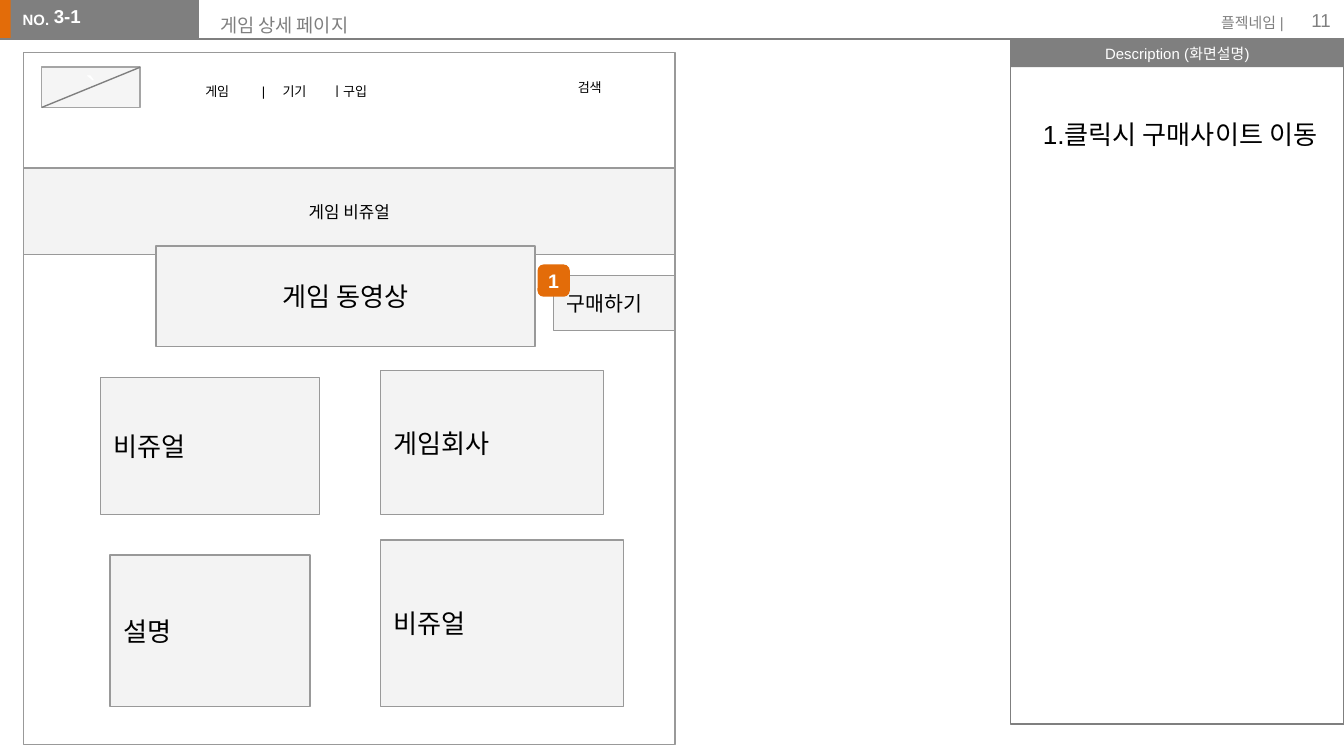
from typing import NamedTuple

from lxml import etree
from pptx import Presentation
from pptx.dml.color import RGBColor
from pptx.enum.shapes import MSO_CONNECTOR, MSO_SHAPE
from pptx.enum.text import MSO_ANCHOR, PP_ALIGN
from pptx.oxml.ns import qn
from pptx.util import Cm, Pt

RECT, ROUNDED = MSO_SHAPE.RECTANGLE, MSO_SHAPE.ROUNDED_RECTANGLE
STRAIGHT = MSO_CONNECTOR.STRAIGHT
LEFT, CENTER, RIGHT = PP_ALIGN.LEFT, PP_ALIGN.CENTER, PP_ALIGN.RIGHT
TOP, MIDDLE = MSO_ANCHOR.TOP, MSO_ANCHOR.MIDDLE
FONT = "Arial"
COLORS = {
    "accent": "E36C09",
    "gray": "7F7F7F",
    "edge": "999999",
    "block": "F3F3F3",
    "logo": "F2F2F2",
    "logo_edge": "A5A5A5",
    "white": "FFFFFF",
    "black": "000000",
}


class Box(NamedTuple):
    """A rectangle measured in centimetres."""

    left: float
    top: float
    width: float
    height: float

    def inner(self, left, top, width, height):
        """Return a box placed relative to this one."""
        return Box(self.left + left, self.top + top, width, height)

    def lengths(self):
        """Return position and size as slide lengths."""
        return [Cm(value) for value in self]


def rgb(name):
    """Look up a named colour."""
    return RGBColor.from_string(COLORS[name])


def write(shape, text, size, color="black", align=LEFT, anchor=MIDDLE,
          bold=False, inset=(0.25, 0.13), tabs=()):
    """Put one formatted paragraph into a shape."""
    frame = shape.text_frame
    frame.word_wrap = True
    frame.vertical_anchor = anchor
    frame.margin_left = frame.margin_right = Cm(inset[0])
    frame.margin_top = frame.margin_bottom = Cm(inset[1])
    paragraph = frame.paragraphs[0]
    paragraph.alignment = align
    if tabs:
        tab_list = etree.SubElement(paragraph._p.get_or_add_pPr(), qn("a:tabLst"))
        for position in tabs:
            etree.SubElement(tab_list, qn("a:tab"), pos=str(Cm(position)), algn="l")
    run = paragraph.add_run()
    run.text = text
    run.font.name = FONT
    run.font.size = Pt(size)
    run.font.bold = bold
    run.font.color.rgb = rgb(color)


def add_label(slide, box, text, size, **style):
    """Add a text box."""
    write(slide.shapes.add_textbox(*box.lengths()), text, size, **style)


def add_panel(slide, box, fill=None, edge=None, kind=RECT):
    """Add a flat shape with optional fill and outline."""
    panel = slide.shapes.add_shape(kind, *box.lengths())
    panel.shadow.inherit = False
    if fill:
        panel.fill.solid()
        panel.fill.fore_color.rgb = rgb(fill)
    else:
        panel.fill.background()
    if edge:
        panel.line.color.rgb = rgb(edge)
        panel.line.width = Pt(0.75)
    else:
        panel.line.fill.background()
    return panel


def add_rule(slide, start, end):
    """Draw a thin gray line between two points."""
    rule = slide.shapes.add_connector(STRAIGHT, *(Cm(value) for value in start + end))
    rule.line.color.rgb = rgb("gray")
    rule.line.width = Pt(0.75)
    etree.SubElement(rule._element.spPr, qn("a:effectLst"))


def add_header(slide, box):
    """Build the top bar with screen number, title and page number."""
    add_panel(slide, box.inner(0, 0, 0.28, box.height), "accent")
    add_panel(slide, box.inner(0.2, 0, 3.56, box.height), "gray")
    add_label(slide, box.inner(0.18, 0.08, 1.04, 0.61), "NO.", 8,
              color="white", bold=True, anchor=TOP)
    bottom = box.top + box.height
    add_rule(slide, (box.left, bottom), (box.left + 19.46, bottom))
    add_label(slide, box.inner(22.68, 0.13, 1.83, 0.61), "플젝네임 |", 8,
              color="gray", align=RIGHT, anchor=TOP)
    add_label(slide, box.inner(23.88, 0, 1.52, 0.76), "11", 10,
              color="gray", align=RIGHT)
    add_label(slide, box.inner(3.91, 0.05, 14.25, 0.81), "게임 상세 페이지", 10,
              color="gray", anchor=TOP, inset=(0.25, 0.25))
    add_label(slide, box.inner(1.02, 0.1, 1.8, 0.5), "3-1", 10,
              color="white", bold=True, anchor=TOP, inset=(0, 0))


def add_logo_slot(slide, box):
    """Build the crossed-out logo area."""
    slot = add_panel(slide, box, "logo", "logo_edge")
    fill_color = slot._element.spPr.find(qn("a:solidFill"))[0]
    etree.SubElement(fill_color, qn("a:alpha"), val="70000")
    write(slot, "`", 18, color="white", align=CENTER)
    add_rule(slide, (box.left + box.width, box.top), (box.left, box.top + box.height))


def add_wireframe(slide, box):
    """Build the page layout sketch."""
    add_panel(slide, box, edge="edge")
    add_logo_slot(slide, box.inner(0.35, 0.28, 1.86, 0.76))
    add_label(slide, box.inner(3.19, 0.46, 4.6, 0.64), "게임\t|\t기기\tㅣ구입", 7,
              anchor=TOP, tabs=(1.07, 1.46, 2.38))
    add_label(slide, box.inner(10.23, 0.38, 1.4, 0.56), "검색", 7, anchor=TOP)
    blocks = [
        ("게임 비쥬얼", 9, CENTER, (0, 2.19, box.width, 1.63)),
        ("게임 동영상", 14, CENTER, (2.51, 3.66, 7.16, 1.9)),
        ("게임회사", 14, LEFT, (6.75, 6.02, 4.22, 2.72)),
        ("비쥬얼", 14, LEFT, (1.46, 6.15, 4.14, 2.59)),
        ("비쥬얼", 14, LEFT, (6.75, 9.22, 4.6, 3.15)),
        ("설명", 14, LEFT, (1.64, 9.5, 3.78, 2.87)),
        ("구매하기", 11, LEFT, (10.02, 4.22, 2.3, 1.04)),
    ]
    for text, size, align, place in blocks:
        block = add_panel(slide, box.inner(*place), "block", "edge")
        write(block, text, size, align=align, inset=(0.25, 0.25))
    marker = add_panel(slide, box.inner(9.72, 4.01, 0.61, 0.61), "accent", kind=ROUNDED)
    marker.adjustments[0] = 0.19
    write(marker, "1", 10.5, color="white", align=CENTER, bold=True, inset=(0, 0.13))


def add_description(slide, box):
    """Build the description column."""
    heading = add_panel(slide, box.inner(0, 0, box.width, 0.53), "gray")
    write(heading, "Description (화면설명)", 8, color="white", align=CENTER,
          inset=(0.23, 0.1))
    add_panel(slide, box, edge="gray")
    add_label(slide, box.inner(0.36, 1.37, 5.94, 0.86), "1.클릭시 구매사이트 이동", 14,
              anchor=TOP)


def main():
    """Create the storyboard slide."""
    deck = Presentation()
    deck.slide_width, deck.slide_height = Cm(25.4), Cm(14.29)
    slide = deck.slides.add_slide(deck.slide_layouts[6])
    add_header(slide, Box(0, 0, 25.4, 0.74))
    add_description(slide, Box(19.1, 0.74, 6.3, 12.95))
    add_wireframe(slide, Box(0.44, 0.99, 12.32, 13.08))
    deck.save("out.pptx")


if __name__ == "__main__":
    main()
